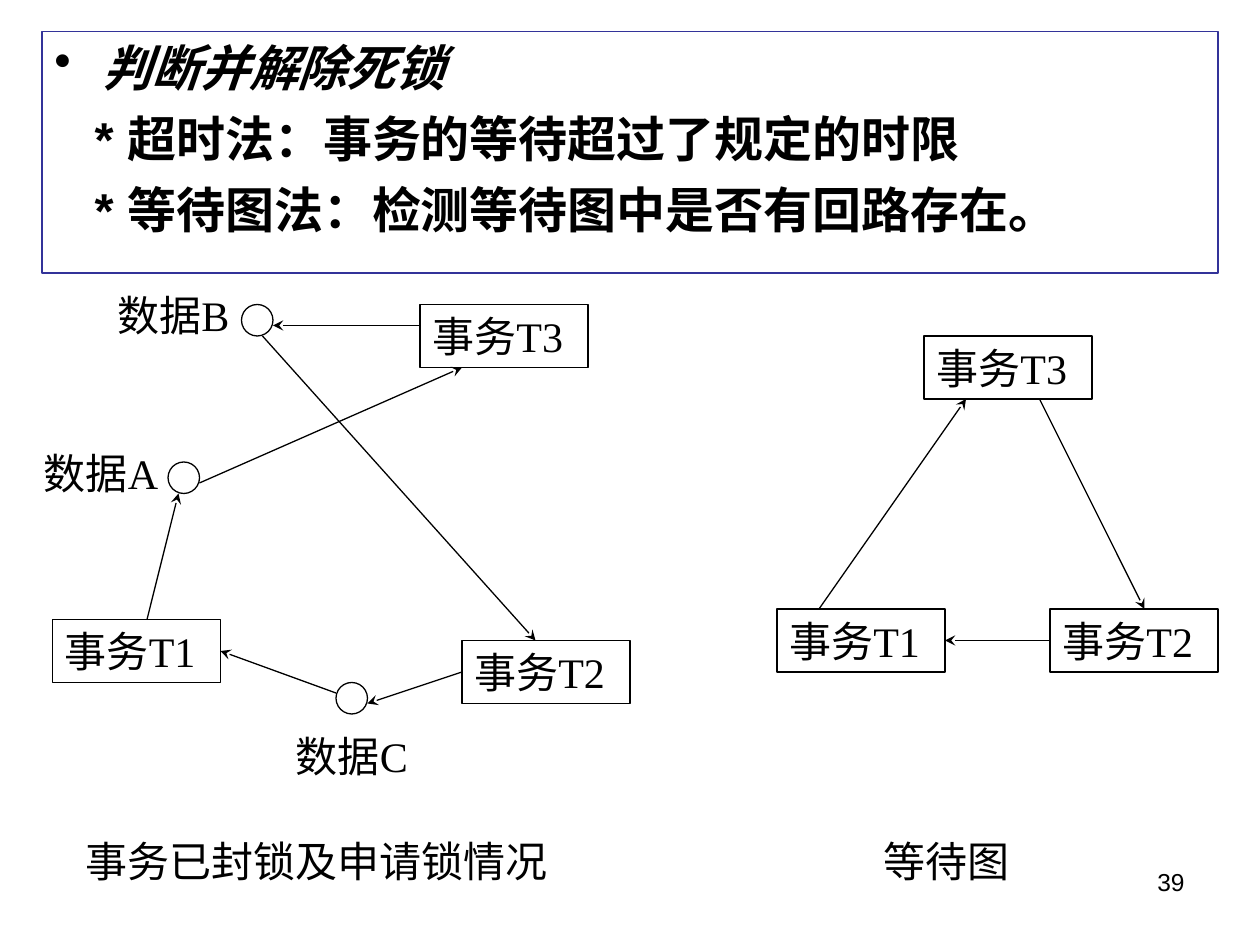
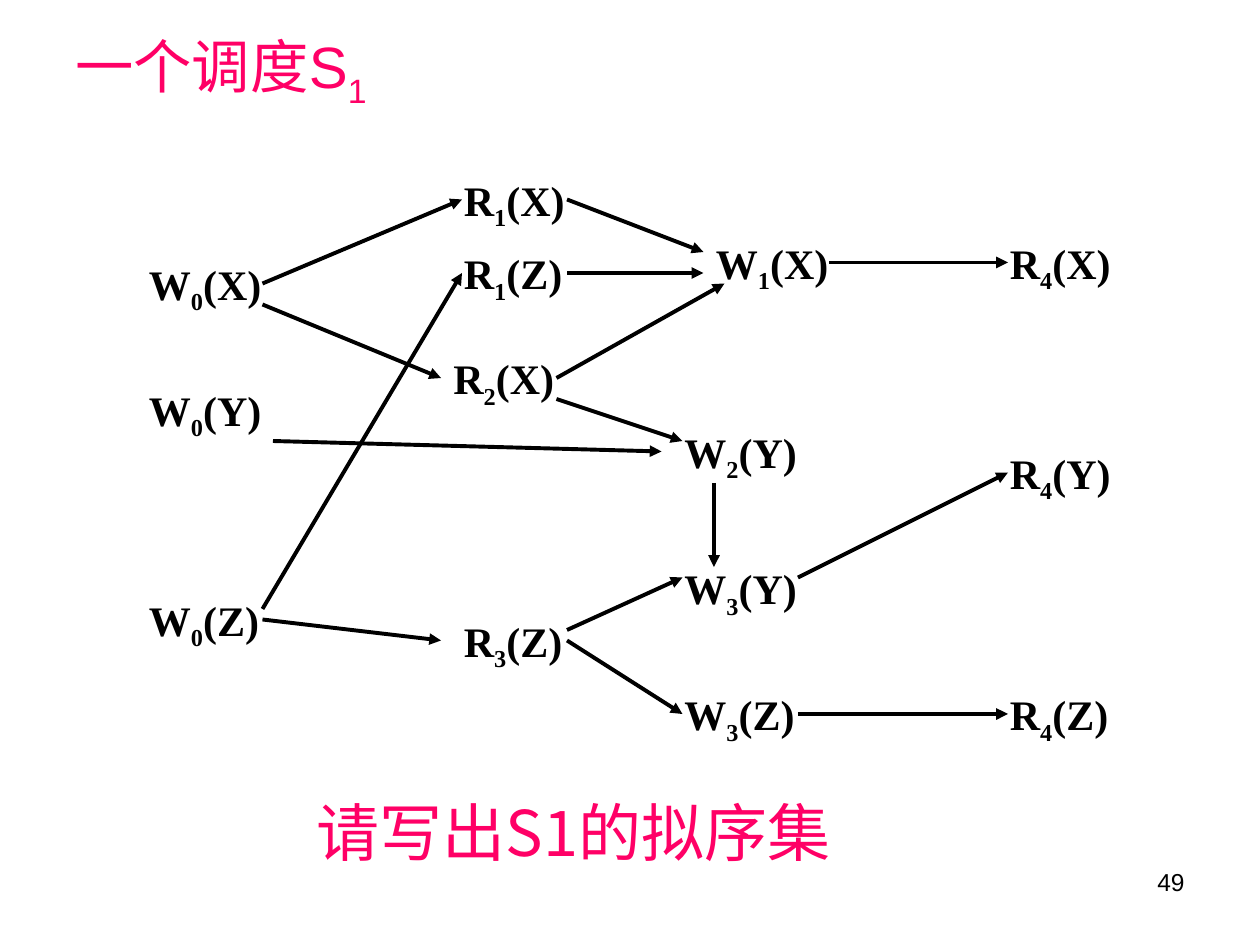
import pptx
import pptx.util
import pptx.dml.color
import pptx.enum.shapes
import pptx.enum.text
import pptx.oxml.ns
import lxml.etree

# All places are in cells of a 120 x 90 grid, twelve cells to the inch.
WIDE, HIGH = 120, 90
INK, PINK, BLUE, WHITE = "000000", "FF0066", "333399", "FFFFFF"
SANS, SERIF, HAN = "Arial", "Times New Roman", "Noto Sans CJK SC"

# Slide 1: deadlock detection
POINTS = ["判断并解除死锁",
          "* 超时法：事务的等待超过了规定的时限",
          "* 等待图法：检测等待图中是否有回路存在。"]
POINTBOX = (4, 3, 112, 23)
DATA = [(16, 44), (23, 29), (32, 65)]
TASKS = [("事务T1", 5, 59), ("事务T2", 44, 61), ("事务T3", 40, 29),
         ("事务T1", 74, 58), ("事务T2", 100, 58), ("事务T3", 88, 32)]
NAMES = [("数据A", 3, 42, 14, 11), ("数据B", 10, 27, 14, 6),
         ("数据C", 27, 69, 14, 6),
         ("事务已封锁及申请锁情况", 7, 79, 47, 6), ("等待图", 83, 79, 28, 6)]
WAITS = [(14, 59, 17, 47), (32, 66, 21, 62), (44, 64, 35, 67),
         (25, 32, 51, 61), (40, 31, 26, 31), (19, 46, 44, 35),
         (78, 58, 92, 38), (99, 38, 109, 58), (100, 61, 90, 61)]

# Slide 2: a schedule; text between bars is set as a subscript
TITLE = "一个调度S|1|"
QUERY = "请写出S1的拟序集"
STEPS = [("W|0|(X)", 13, 24), ("W|0|(Y)", 13, 36), ("W|0|(Z)", 13, 56),
         ("R|1|(X)", 43, 16), ("R|1|(Z)", 43, 23), ("R|2|(X)", 42, 33),
         ("R|3|(Z)", 43, 58), ("W|1|(X)", 67, 22), ("W|2|(Y)", 64, 40),
         ("W|3|(Y)", 64, 53), ("W|3|(Z)", 64, 65), ("R|4|(X)", 95, 22),
         ("R|4|(Y)", 95, 42), ("R|4|(Z)", 95, 65)]
FLOWS = [(54, 19, 67, 24), (54, 26, 67, 26), (53, 38, 65, 42),
         (54, 61, 65, 68), (54, 60, 65, 55), (26, 42, 63, 43),
         (25, 27, 44, 19), (25, 29, 42, 36), (25, 59, 42, 61),
         (25, 58, 44, 26), (79, 25, 96, 25), (53, 36, 69, 27),
         (68, 46, 68, 54), (76, 55, 96, 45), (76, 68, 96, 68)]

KIND = pptx.enum.shapes.MSO_SHAPE
ALIGN = pptx.enum.text.PP_ALIGN


# Shared helpers
def cell(count):
    return pptx.util.Inches(count / 12)


def tint(code):
    return pptx.dml.color.RGBColor.from_string(code)


def sub(parent, tag, **keys):
    return lxml.etree.SubElement(parent, pptx.oxml.ns.qn(tag), keys)


def write(para, text, size, face=SERIF, color=INK, bold=False,
          slant=False, align=ALIGN.LEFT):
    para.alignment = align
    font = para.font
    font.size, font.name = pptx.util.Pt(size), face
    font.bold, font.italic = bold, slant
    font.color.rgb = tint(color)
    for spot, part in enumerate(text.split("|")):
        if part:
            run = para.add_run()
            run.text = part
            if spot % 2:
                run._r.get_or_add_rPr().set("baseline", "-25000")


def label(slide, text, place, size=24, **look):
    box = slide.shapes.add_textbox(*map(cell, place))
    box.text_frame.word_wrap = True
    para = box.text_frame.paragraphs[0]
    write(para, text, size, **look)
    return para


def shape(slide, kind, place, line=INK, fill=None):
    item = slide.shapes.add_shape(kind, *map(cell, place))
    item.shadow.inherit = False
    item.line.color.rgb = tint(line)
    item.line.width = pptx.util.Pt(0.75)
    if fill:
        item.fill.solid()
        item.fill.fore_color.rgb = tint(fill)
    else:
        item.fill.background()
    frame = item.text_frame
    frame.word_wrap = True
    frame.vertical_anchor = pptx.enum.text.MSO_ANCHOR.TOP
    return item


def arrow(slide, ends, width, head, sides):
    link = slide.shapes.add_connector(
        pptx.enum.shapes.MSO_CONNECTOR.STRAIGHT, *map(cell, ends))
    link.line.color.rgb = tint(INK)
    link.line.width = pptx.util.Pt(width)
    sub(link.line._get_or_add_ln(), "a:tailEnd", type=head)
    sub(link._element.spPr, "a:effectLst")
    if ends[:2] in sides:
        link.begin_connect(*sides[ends[:2]])
    if ends[2:] in sides:
        link.end_connect(*sides[ends[2:]])


def page(deck, number):
    slide = deck.slides.add_slide(deck.slide_layouts[6])
    label(slide, number, (86, 82, 28, 6.2), 14, face=SANS, align=ALIGN.RIGHT)
    return slide


def points(slide):
    frame = shape(slide, KIND.RECTANGLE, POINTBOX, BLUE, WHITE).text_frame
    for spot, text in enumerate(POINTS):
        para = frame.add_paragraph() if spot else frame.paragraphs[0]
        prop = para._p.get_or_add_pPr()
        if spot:
            prop.set("marL", str(pptx.util.Inches(0.32)))
            para.space_before = pptx.util.Pt(7)
        else:
            prop.set("marL", str(pptx.util.Inches(0.38)))
            prop.set("indent", str(pptx.util.Inches(-0.38)))
            sub(prop, "a:buChar", char="•")
        write(para, text, 28, SANS, bold=True, slant=not spot)


def graphs(slide):
    for left, top in DATA:
        shape(slide, KIND.OVAL, (left, top, 3, 3))
    sides = {}
    wide, high = 16, 6
    for text, left, top in TASKS:
        box = shape(slide, KIND.RECTANGLE, (left, top, wide, high))
        write(box.text_frame.paragraphs[0], text, 24)
        mids = [(left + wide / 2, top), (left, top + high / 2),
                (left + wide / 2, top + high), (left + wide, top + high / 2)]
        sides.update((mid, (box, side)) for side, mid in enumerate(mids))
    for text, *place in NAMES:
        label(slide, text, place)
    for ends in WAITS:
        arrow(slide, ends, 0.75, "stealth", sides)


def schedule(slide):
    para = label(slide, TITLE, (6, 3, 35, 8), 33.3, face=SANS, color=PINK)
    para.line_spacing = 0.8
    for text, left, top in STEPS:
        label(slide, text, (left, top, 14, 6.7), bold=True)
    for ends in FLOWS:
        arrow(slide, ends, 2.25, "triangle", {})
    label(slide, QUERY, (29, 75, 55, 8), 36, face=HAN, color=PINK)


def main():
    deck = pptx.Presentation()
    deck.slide_width, deck.slide_height = cell(WIDE), cell(HIGH)
    first = page(deck, "39")
    points(first)
    graphs(first)
    schedule(page(deck, "49"))
    deck.save("out.pptx")


if __name__ == "__main__":
    main()
